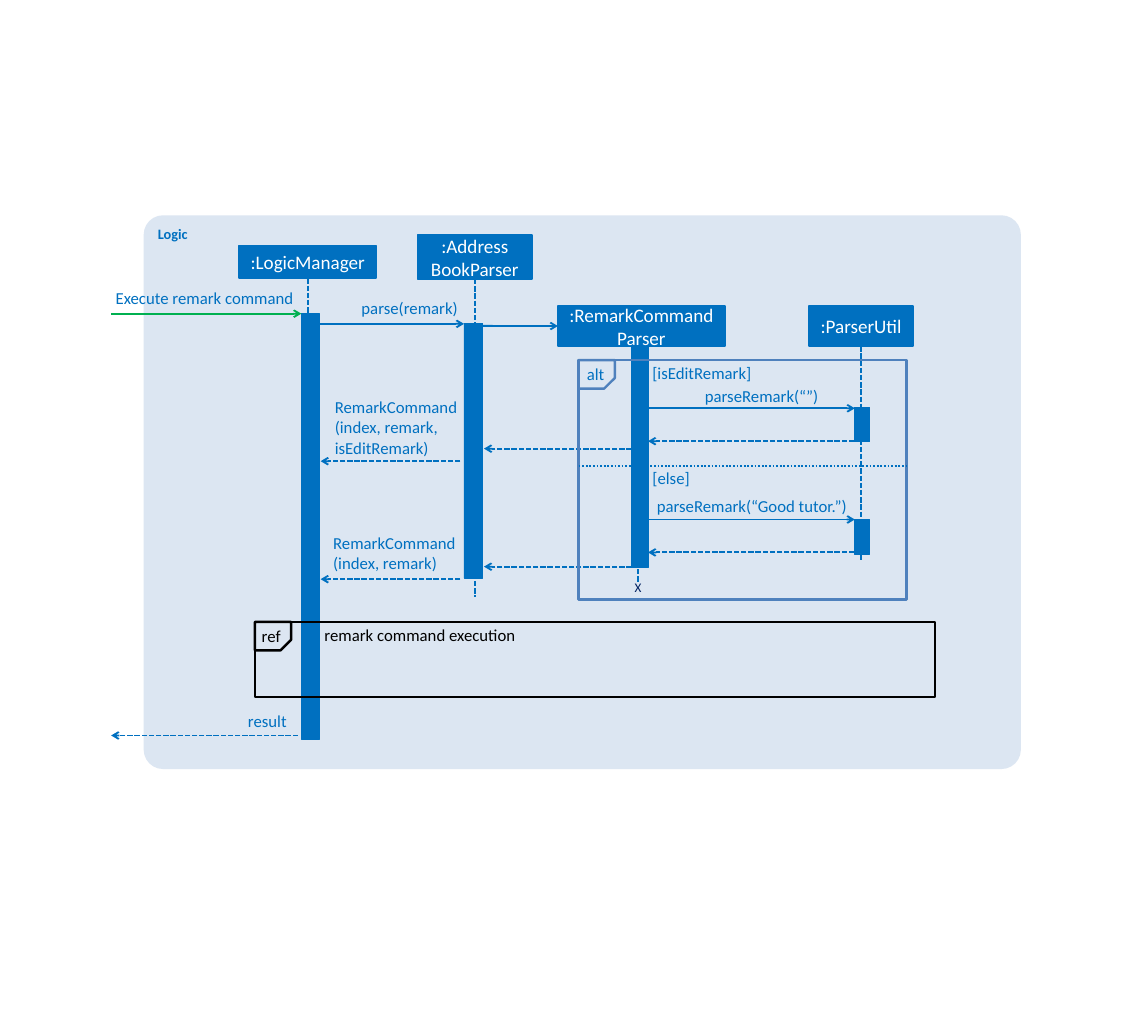
from lxml import etree
from pptx import Presentation
from pptx.dml.color import RGBColor
from pptx.enum.dml import MSO_LINE
from pptx.enum.shapes import MSO_CONNECTOR, MSO_SHAPE
from pptx.enum.text import MSO_ANCHOR, MSO_AUTO_SIZE, PP_ALIGN
from pptx.oxml.ns import qn
from pptx.util import Cm, Pt

COLORS = {"blue": "0070C0", "panel": "DCE6F2", "green": "00B050", "frame": "4F81BD",
          "navy": "002060", "black": "000000", "white": "FFFFFF"}
RECT, ROUNDED, SNIPPED = MSO_SHAPE.RECTANGLE, MSO_SHAPE.ROUNDED_RECTANGLE, MSO_SHAPE.SNIP_1_RECTANGLE
STRAIGHT = MSO_CONNECTOR.STRAIGHT
DASH, DOTS = MSO_LINE.SQUARE_DOT, MSO_LINE.ROUND_DOT
LEFT, CENTER, RIGHT = PP_ALIGN.LEFT, PP_ALIGN.CENTER, PP_ALIGN.RIGHT
TOP, MIDDLE = MSO_ANCHOR.TOP, MSO_ANCHOR.MIDDLE
FIT_TEXT = MSO_AUTO_SIZE.SHAPE_TO_FIT_TEXT
BOTTOM_SITE, LEFT_SITE = 2, 1


def rgb(name):
    return RGBColor.from_string(COLORS[name])


def write(frame, text, size, color, align, bold=False):
    frame.text = text
    for paragraph in frame.paragraphs:
        paragraph.alignment = align
        for run in paragraph.runs:
            run.font.name, run.font.size, run.font.bold = "Calibri", Pt(size), bold
            run.font.color.rgb = rgb(color)


def block(slide, kind, box, fill=None, line=None, width=0.75):
    shape = slide.shapes.add_shape(kind, *map(Cm, box))
    shape.shadow.inherit = False
    if fill:
        shape.fill.solid()
        shape.fill.fore_color.rgb = rgb(fill)
    else:
        shape.fill.background()
    if line:
        shape.line.color.rgb = rgb(line)
        shape.line.width = Pt(width)
    else:
        shape.line.fill.background()
    return shape


def label(slide, x, y, width, text, align=RIGHT, color="blue", size=14, height=0.6):
    box = slide.shapes.add_textbox(Cm(x), Cm(y), Cm(width), Cm(height))
    frame = box.text_frame
    frame.word_wrap = True
    frame.auto_size = FIT_TEXT
    frame.margin_left = frame.margin_right = frame.margin_top = frame.margin_bottom = 0
    write(frame, text, size, color, align)


def stroke(slide, x1, y1, x2, y2, dash=None, color="blue", arrow=False):
    line = slide.shapes.add_connector(STRAIGHT, Cm(x1), Cm(y1), Cm(x2), Cm(y2))
    line.line.color.rgb = rgb(color)
    line.line.width = Pt(1.5)
    if dash:
        line.line.dash_style = dash
    if arrow:
        etree.SubElement(line.line._get_or_add_ln(), qn("a:tailEnd"), type="arrow")
    etree.SubElement(line._element.spPr, qn("a:effectLst"))
    return line


def message(slide, x1, x2, y, dash=None, color="blue"):
    return stroke(slide, x1, y, x2, y, dash, color, arrow=True)


def logic_panel(slide, box):
    panel = block(slide, ROUNDED, box, fill="panel")
    panel.adjustments[0] = 0.035
    panel.text_frame.vertical_anchor = TOP
    write(panel.text_frame, "Logic", 12, "blue", LEFT, bold=True)


def participant(slide, box, name, life_length, bars, life_shift=0):
    """Head, lifeline down from the head's top, and activation bars."""
    left, top, width, height = box
    head = block(slide, RECT, box, "blue", "blue", 1.5)
    head.text_frame.vertical_anchor = MIDDLE
    write(head.text_frame, name, 16, "white", CENTER)
    life_x = left + width / 2 + life_shift
    lifeline = stroke(slide, life_x, top + height, life_x, top + life_length, DASH)
    if not life_shift:
        lifeline.begin_connect(head, BOTTOM_SITE)
    for dx, dy, bar_width, bar_height in bars:
        block(slide, RECT, (left + dx, top + dy, bar_width, bar_height), "blue", "blue")
    return head


def logic_messages(slide, box, parser_head):
    left, top = box[:2]
    # Calls
    message(slide, left - 0.96, left + 4.65, top + 2.9, color="green")
    message(slide, left + 5.18, left + 9.45, top + 3.2)
    create = message(slide, left + 9.96, left + 12.22, top + 3.26)
    create.end_connect(parser_head, LEFT_SITE)
    # Returns
    for start, end, y in ((4.55, -0.96, 15.34), (9.34, 5.22, 7.25), (9.34, 5.22, 10.73),
                          (14.4, 10.04, 6.88), (14.4, 10.04, 10.36)):
        message(slide, left + start, left + end, top + y, DASH)
    # Labels
    for x, y, width, text, align in (
            (-1.22, 2.13, 5.64, "Execute remark command", RIGHT),
            (5.31, 2.44, 3.96, "parse(remark)", RIGHT),
            (2.49, 14.61, 1.73, "result", RIGHT),
            (5.64, 5.36, 4.24, "RemarkCommand\n(index, remark, isEditRemark)", LEFT),
            (5.59, 9.35, 4.24, "RemarkCommand\n(index, remark)", LEFT)):
        label(slide, left + x, top + y, width, text, align)


def fragment(slide, box, operator, line, color):
    """Frame with an operator tag in its top left corner."""
    left, top = box[:2]
    block(slide, RECT, box, line=line, width=2)
    tag = block(slide, SNIPPED, (left, top, 1.07, 0.84), line=line, width=2)
    tag.adjustments[0] = 0.373
    tag.rotation = 180
    tag._element.spPr.xfrm.set("flipH", "1")
    label(slide, left + 0.15, top + 0.1, 0.61, operator, color=color)


def alt_fragment(slide, box):
    left, top, width, _ = box
    fragment(slide, box, "alt", "frame", "blue")
    stroke(slide, left, top + 3.12, left + width, top + 3.12, DOTS)
    # A call and its return in each branch
    for call_y in (1.42, 4.7):
        message(slide, left + 2.08, left + 8.15, top + call_y)
        message(slide, left + 8.13, left + 2.05, top + call_y + 0.97, DASH)
    for x, y, label_width, text, align in (
            (1.37, 0.07, 3.73, "[isEditRemark]", RIGHT),
            (3.3, 0.76, 3.78, "parseRemark(“”)", RIGHT),
            (2.18, 3.17, 1.45, "[else]", LEFT),
            (2.23, 4.01, 5.69, "parseRemark(“Good tutor.”)", RIGHT)):
        label(slide, left + x, top + y, label_width, text, align)
    # End of the command parser
    label(slide, left + 1.4, top + 6.48, 0.71, "X", CENTER, "navy", 11, 0.48)


def ref_fragment(slide, box):
    left, top = box[:2]
    fragment(slide, box, "ref", "black", "black")
    label(slide, left + 1.75, top + 0.08, 5.94, "remark command execution", color="black")


def main():
    prs = Presentation()
    prs.slide_width, prs.slide_height = Cm(33.87), Cm(30.05)
    slide = prs.slides.add_slide(prs.slide_layouts[6])
    logic = (4.24, 6.35, 25.88, 16.33)
    logic_panel(slide, logic)
    participant(slide, (7.06, 7.24, 4.04, 0.97), ":LogicManager", 14.53,
                [(1.83, 2.01, 0.53, 12.55)])
    participant(slide, (12.32, 6.93, 3.38, 1.3), ":Address\nBookParser", 10.67,
                [(1.37, 2.6, 0.56, 7.52)])
    parser_head = participant(slide, (16.46, 9.02, 4.93, 1.19), ":RemarkCommand\nParser", 8.13,
                              [(2.18, 1.19, 0.48, 6.53)], life_shift=-0.1)
    participant(slide, (23.88, 9.02, 3.05, 1.19), ":ParserUtil", 7.54,
                [(1.32, y, 0.46, 1.02) for y in (2.99, 6.3)])
    logic_messages(slide, logic, parser_head)
    alt_fragment(slide, (17.07, 10.62, 9.68, 7.06))
    ref_fragment(slide, (7.52, 18.34, 20.07, 2.21))
    prs.save("out.pptx")


if __name__ == "__main__":
    main()
